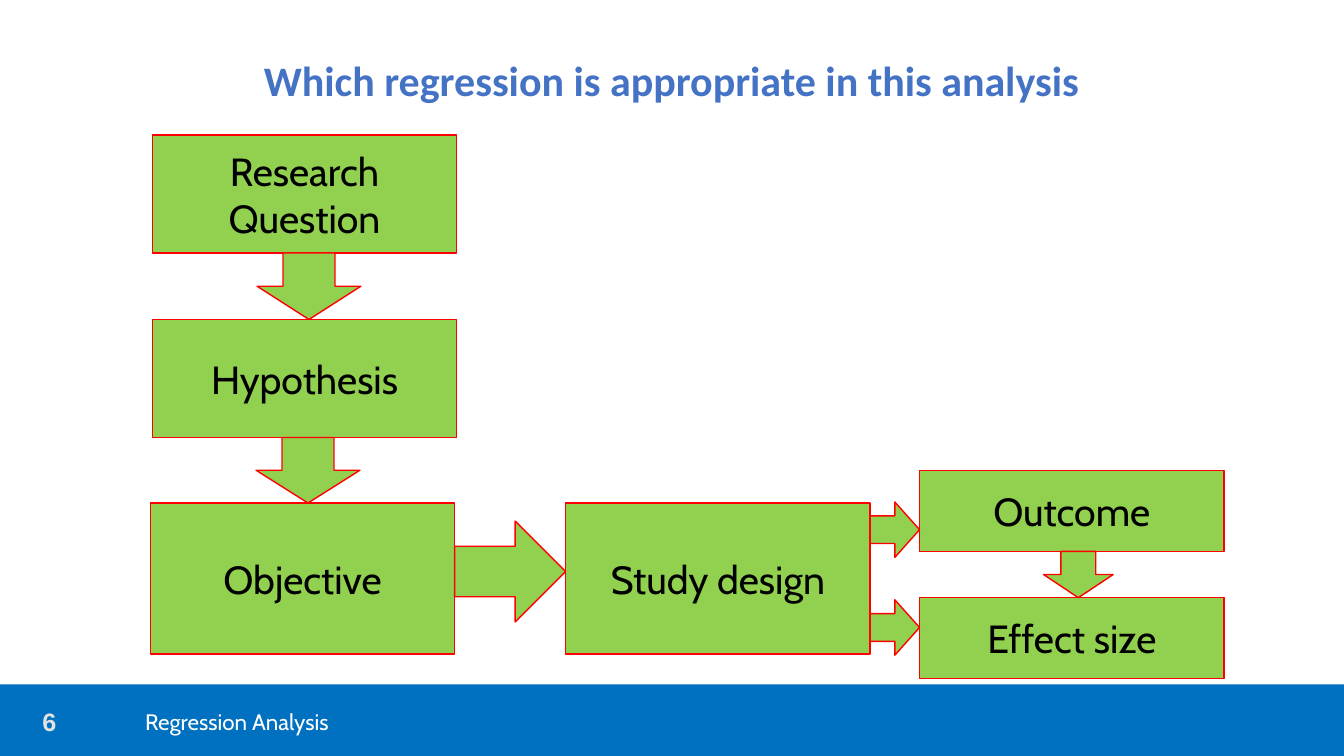
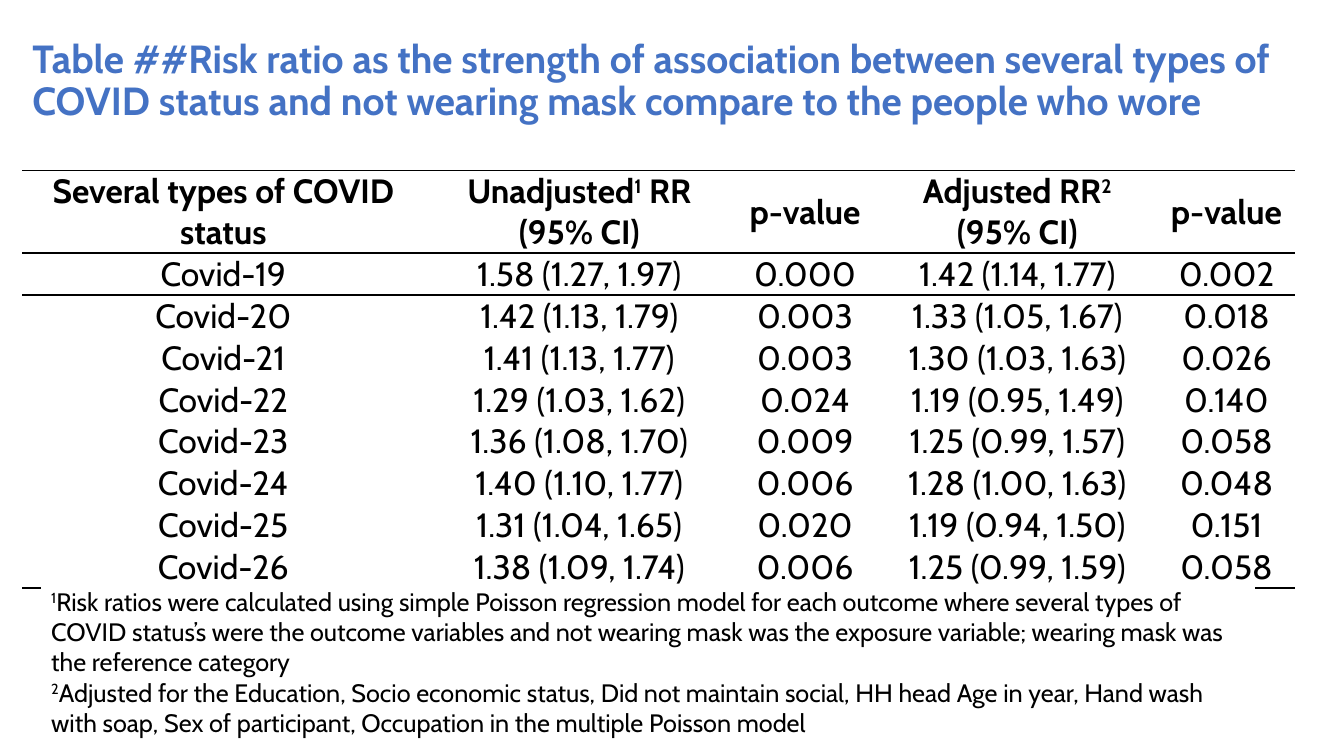
"""Build two slides on choosing a regression and reporting risk ratios."""
from dataclasses import dataclass
from typing import Optional

import lxml.etree
import pptx
import pptx.dml.color
import pptx.enum.shapes
import pptx.enum.text
import pptx.oxml.ns
import pptx.shapes.autoshape
import pptx.slide
import pptx.table
import pptx.text.text
import pptx.util

EMU_PER_PX = 9144
SLIDE_WIDTH, SLIDE_HEIGHT = 1333, 750
FONT = "Cabin"
PLAIN_TABLE_STYLE = "{2D5ABB26-0587-4C30-8999-92F81FD0307C}"
COLORS = {
    "title": "4472C4",
    "band": "0070C0",
    "number": "E2E2E2",
    "step": "92D050",
    "outline": "FF0000",
    "ink": "000000",
    "paper": "FFFFFF",
}
SHAPES = pptx.enum.shapes.MSO_SHAPE
ALIGN = pptx.enum.text.PP_ALIGN
ANCHOR = pptx.enum.text.MSO_ANCHOR


@dataclass(frozen=True)
class Box:
    """A rectangle in px."""

    x: int
    y: int
    w: int
    h: int

    @property
    def right(self) -> int:
        """Return the right edge."""
        return self.x + self.w

    @property
    def bottom(self) -> int:
        """Return the lower edge."""
        return self.y + self.h

    def emu(self) -> tuple[int, ...]:
        """Return left, top, width and height in EMU."""
        return tuple(px(side) for side in (self.x, self.y, self.w, self.h))


@dataclass(frozen=True)
class Step:
    """A labelled step of the flow."""

    label: str
    box: Box


@dataclass(frozen=True)
class Column:
    """A table column with its heading, width and values."""

    heading: str
    width: int
    values: tuple[str, ...]


QUESTION = Step("Research Question", Box(151, 134, 302, 117))
HYPOTHESIS = Step("Hypothesis", Box(151, 317, 302, 117))
OBJECTIVE = Step("Objective", Box(149, 499, 302, 150))
DESIGN = Step("Study design", Box(561, 499, 302, 150))
OUTCOME = Step("Outcome", Box(912, 467, 302, 80))
EFFECT = Step("Effect size", Box(912, 593, 302, 80))
STEPS = (QUESTION, HYPOTHESIS, OBJECTIVE, DESIGN, OUTCOME, EFFECT)

COLUMNS = (
    Column("Several types of COVID status", 399,
           tuple(f"Covid-{number}" for number in range(19, 27))),
    Column("Unadjusted|1| RR\n(95% CI)", 307,
           ("1.58 (1.27, 1.97)", "1.42 (1.13, 1.79)", "1.41 (1.13, 1.77)",
            "1.29 (1.03, 1.62)", "1.36 (1.08, 1.70)", "1.40 (1.10, 1.77)",
            "1.31 (1.04, 1.65)", "1.38 (1.09, 1.74)")),
    Column("p-value", 141,
           ("0.000", "0.003", "0.003", "0.024", "0.009", "0.006", "0.020", "0.006")),
    Column("Adjusted RR|2|\n(95% CI)", 280,
           ("1.42 (1.14, 1.77)", "1.33 (1.05, 1.67)", "1.30 (1.03, 1.63)",
            "1.19 (0.95, 1.49)", "1.25 (0.99, 1.57)", "1.28 (1.00, 1.63)",
            "1.19 (0.94, 1.50)", "1.25 (0.99, 1.59)")),
    Column("p-value", 135,
           ("0.002", "0.018", "0.026", "0.140", "0.058", "0.048", "0.151", "0.058")),
)
FOOTNOTES = (
    "|1|Risk ratios were calculated using simple Poisson regression model for each "
    "outcome where several types of COVID status’s were the outcome variables and "
    "not wearing mask was the exposure variable; wearing mask was the reference category\n"
    "|2|Adjusted for the Education, Socio economic status, Did not maintain social, "
    "HH head Age in year, Hand wash with soap, Sex of participant, Occupation in the "
    "multiple Poisson model"
)


def px(length: int) -> int:
    """Turn px into EMU."""
    return length * EMU_PER_PX


def rgb(color: str) -> pptx.dml.color.RGBColor:
    """Look up a named colour."""
    return pptx.dml.color.RGBColor.from_string(COLORS[color])


def write_text(frame: pptx.text.text.TextFrame, text: str, *, size: int,
               color: str = "ink", font: str = FONT, bold: bool = False,
               align: ALIGN = ALIGN.LEFT, anchor: ANCHOR = ANCHOR.MIDDLE,
               inset: Optional[int] = None, line_spacing: float = 1.0) -> None:
    """Write lines of text, raising the parts between bars."""
    frame.word_wrap = True
    frame.vertical_anchor = anchor
    if inset is not None:
        frame.margin_left = frame.margin_right = px(inset)
        frame.margin_top = frame.margin_bottom = px(inset)
    for index, line in enumerate(text.split("\n")):
        paragraph = frame.add_paragraph() if index else frame.paragraphs[0]
        paragraph.alignment = align
        paragraph.line_spacing = line_spacing
        for position, part in enumerate(line.split("|")):
            if not part:
                continue
            run = paragraph.add_run()
            run.text = part
            run.font.size = pptx.util.Pt(size)
            run.font.name = font
            run.font.bold = bold
            run.font.color.rgb = rgb(color)
            if position % 2:
                run.font._element.set("baseline", "30000")


def add_block(slide: pptx.slide.Slide, kind: SHAPES, box: Box, fill: str,
              outline: Optional[str] = None) -> pptx.shapes.autoshape.Shape:
    """Add a flat filled shape."""
    block = slide.shapes.add_shape(kind, *box.emu())
    block.shadow.inherit = False
    block.fill.solid()
    block.fill.fore_color.rgb = rgb(fill)
    if outline:
        block.line.color.rgb = rgb(outline)
        block.line.width = pptx.util.Pt(1)
    else:
        block.line.fill.background()
    return block


def add_titled_slide(deck: pptx.presentation.Presentation, title: str, box: Box, *,
                     size: int, font: str = FONT,
                     align: ALIGN = ALIGN.LEFT) -> pptx.slide.Slide:
    """Add a title-only slide with the shared title style."""
    slide = deck.slides.add_slide(deck.slide_layouts[5])
    heading = slide.shapes.title
    heading.left, heading.top, heading.width, heading.height = box.emu()
    heading.text_frame.auto_size = pptx.enum.text.MSO_AUTO_SIZE.NONE
    write_text(heading.text_frame, title, size=size, font=font, color="title",
               bold=True, align=align, anchor=ANCHOR.TOP, line_spacing=0.9)
    return slide


def add_footer(slide: pptx.slide.Slide, number: str, topic: str) -> None:
    """Add the band with the page number and topic."""
    add_block(slide, SHAPES.RECTANGLE, Box(0, 679, SLIDE_WIDTH, 71), "band")
    page = slide.shapes.add_textbox(*Box(42, 698, 102, 35).emu())
    write_text(page.text_frame, number, size=18, font="Arial", color="number",
               bold=True, inset=0)
    subject = slide.shapes.add_textbox(*Box(144, 698, 860, 35).emu())
    write_text(subject.text_frame, topic, size=16, color="paper", inset=0)


def add_down_arrow(slide: pptx.slide.Slide, above: Step, below: Step,
                   x: int, width: int) -> None:
    """Fill the gap between two stacked steps with an arrow."""
    top = above.box.bottom
    add_block(slide, SHAPES.DOWN_ARROW, Box(x, top, width, below.box.y - top),
              "step", "outline")


def add_right_arrow(slide: pptx.slide.Slide, before: Step, after: Step,
                    y: int, height: int) -> None:
    """Fill the gap between two neighbouring steps with an arrow."""
    left = before.box.right
    add_block(slide, SHAPES.RIGHT_ARROW, Box(left, y, after.box.x - left, height),
              "step", "outline")


def add_rule(cell: pptx.table._Cell, edge: str) -> None:
    """Draw a thin border on one edge of a cell."""
    properties = cell._tc.get_or_add_tcPr()
    qn = pptx.oxml.ns.qn
    border = lxml.etree.SubElement(properties, qn(f"a:{edge}"), w="12700")
    fill = lxml.etree.SubElement(border, qn("a:solidFill"))
    lxml.etree.SubElement(fill, qn("a:srgbClr"), val=COLORS["ink"])


def add_ratio_table(slide: pptx.slide.Slide, box: Box) -> None:
    """Add the table of risk ratios."""
    last = len(COLUMNS[0].values)
    ratios = slide.shapes.add_table(last + 1, len(COLUMNS), *box.emu()).table
    ratios.first_row = ratios.horz_banding = False
    ratios._tbl.tblPr.find(pptx.oxml.ns.qn("a:tableStyleId")).text = PLAIN_TABLE_STYLE
    for row_index, row in enumerate(ratios.rows):
        row.height = px(41 if row_index else 82)
    for column_index, column in enumerate(COLUMNS):
        ratios.columns[column_index].width = px(column.width)
        for row_index, text in enumerate((column.heading, *column.values)):
            cell = ratios.cell(row_index, column_index)
            cell.margin_left = cell.margin_right = cell.margin_top = px(1)
            cell.margin_bottom = 0
            is_heading = row_index == 0
            write_text(cell.text_frame, text, size=24, bold=is_heading,
                       align=ALIGN.CENTER)
            cell.vertical_anchor = ANCHOR.MIDDLE if is_heading else ANCHOR.BOTTOM
            if row_index <= 1:
                add_rule(cell, "lnT")
            if row_index in (0, last):
                add_rule(cell, "lnB")
            cell.fill.background()


def build_flow_slide(deck: pptx.presentation.Presentation) -> None:
    """Build the flow from research question to effect size."""
    slide = add_titled_slide(deck, "Which regression is appropriate in this analysis",
                             Box(105, 55, 1123, 63), size=30, font="Calibri",
                             align=ALIGN.CENTER)
    add_footer(slide, "6", "Regression Analysis")
    for step in STEPS:
        block = add_block(slide, SHAPES.RECTANGLE, step.box, "step", "outline")
        write_text(block.text_frame, step.label, size=28, align=ALIGN.CENTER)
    add_down_arrow(slide, QUESTION, HYPOTHESIS, 255, 103)
    add_down_arrow(slide, HYPOTHESIS, OBJECTIVE, 254, 103)
    add_down_arrow(slide, OUTCOME, EFFECT, 1035, 69)
    add_right_arrow(slide, OBJECTIVE, DESIGN, 517, 100)
    for y in (498, 595):
        add_right_arrow(slide, DESIGN, OUTCOME, y, 55)


def build_table_slide(deck: pptx.presentation.Presentation) -> None:
    """Build the risk ratio table with its footnotes."""
    slide = add_titled_slide(
        deck,
        "Table ##Risk ratio as the strength of association between several types of "
        "COVID status and not wearing mask compare to the people who wore",
        Box(22, 34, 1295, 135), size=28)
    add_ratio_table(slide, Box(22, 169, 1262, 409))
    notes = add_block(slide, SHAPES.RECTANGLE, Box(41, 580, 1203, 153), "paper", "paper")
    write_text(notes.text_frame, FOOTNOTES, size=18)


def main() -> None:
    """Build and save the deck."""
    deck = pptx.Presentation()
    deck.slide_width, deck.slide_height = px(SLIDE_WIDTH), px(SLIDE_HEIGHT)
    build_flow_slide(deck)
    build_table_slide(deck)
    deck.save("out.pptx")


if __name__ == "__main__":
    main()
